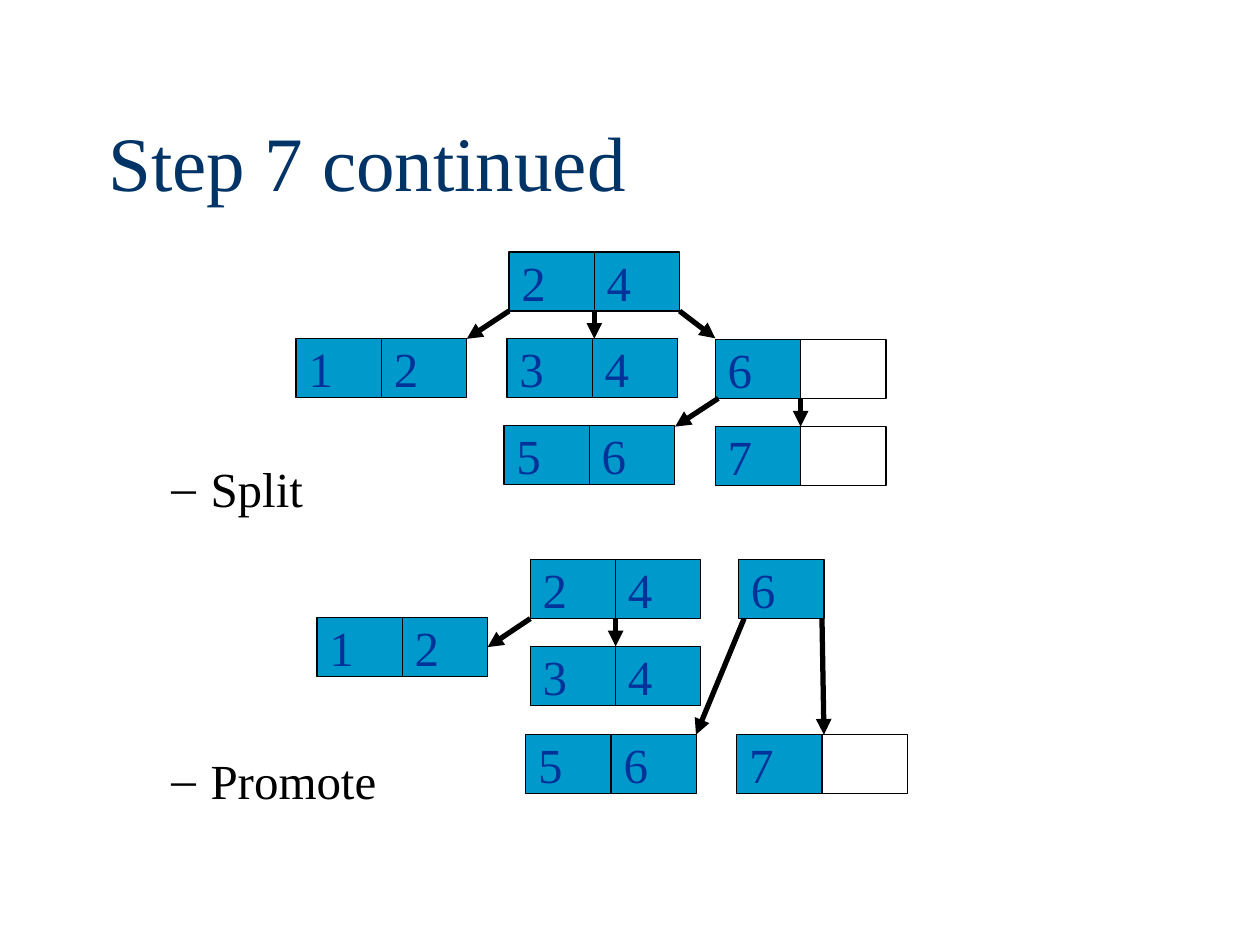
from lxml.etree import SubElement
from pptx import Presentation
from pptx.dml.color import RGBColor
from pptx.enum.shapes import MSO_CONNECTOR, MSO_SHAPE
from pptx.enum.text import MSO_ANCHOR, MSO_AUTO_SIZE, PP_ALIGN
from pptx.oxml.ns import qn
from pptx.util import Cm, Pt

COLORS = {
    "title": "003366",
    "digit": "003399",
    "full": "0099CC",
    "free": "FFFFFF",
    "black": "000000",
}
FONT = "Times New Roman"
CELL_W, CELL_H = 1.72, 1.19


def color(name):
    return RGBColor.from_string(COLORS[name])


def add_run(para, text, size, name):
    run = para.add_run()
    run.text = text
    run.font.name = FONT
    run.font.size = Pt(size)
    run.font.color.rgb = color(name)


prs = Presentation()
prs.slide_width, prs.slide_height = Cm(25.4), Cm(19.05)
slide = prs.slides.add_slide(prs.slide_layouts[1])
shapes = slide.shapes

# Title
title = shapes.title
title.left, title.top, title.width, title.height = Cm(1.93), Cm(1.65), Cm(21.6), Cm(3.18)
frame = title.text_frame
frame.vertical_anchor = MSO_ANCHOR.MIDDLE
frame.auto_size = MSO_AUTO_SIZE.NONE
frame.paragraphs[0].alignment = PP_ALIGN.LEFT
add_run(frame.paragraphs[0], "Step 7 continued", 44, "title")

# Step names, spaced to sit beside their trees
body = slide.placeholders[1]
body.left, body.top, body.width, body.height = Cm(1.93), Cm(9.12), Cm(21.6), Cm(8.18)
frame = body.text_frame
frame.auto_size = MSO_AUTO_SIZE.NONE
for i, (step, gap) in enumerate([("Split", 0), ("Promote", 133)]):
    para = frame.add_paragraph() if i else frame.paragraphs[0]
    para.level = 1
    para.space_before = Pt(gap)
    props = para._p.get_or_add_pPr()
    props.set("marL", str(Cm(2.06)))
    props.set("indent", str(-Cm(0.79)))
    SubElement(props, qn("a:buFont"), typeface=FONT)
    SubElement(props, qn("a:buChar"), char="–")
    add_run(para, step, 28, "black")

# Tree nodes: keys (None is a free cell), left, top
nodes = [
    ("24", 10.26, 5.08),
    ("12", 5.97, 6.82),
    ("34", 10.22, 6.82),
    (["6", None], 14.42, 6.84),
    ("56", 10.16, 8.58),
    (["7", None], 14.42, 8.6),
    ("24", 10.69, 11.28),
    ("12", 6.39, 12.45),
    ("34", 10.69, 13.03),
    ("6", 14.89, 11.28),
    ("56", 10.6, 14.81),
    (["7", None], 14.85, 14.81),
]
cells = []
for keys, left, top in nodes:
    row = []
    for i, key in enumerate(keys):
        cell = shapes.add_shape(MSO_SHAPE.RECTANGLE, Cm(left + i * CELL_W), Cm(top),
                                Cm(CELL_W), Cm(CELL_H))
        cell.shadow.inherit = False
        cell.fill.solid()
        cell.fill.fore_color.rgb = color("full" if key else "free")
        cell.line.color.rgb = color("black")
        cell.line.width = Pt(0.75)
        if key:
            frame = cell.text_frame
            frame.word_wrap = True
            frame.vertical_anchor = MSO_ANCHOR.MIDDLE
            frame.paragraphs[0].alignment = PP_ALIGN.LEFT
            add_run(frame.paragraphs[0], key, 28, "digit")
        row.append(cell)
    cells.append(row)

# Child links: start x, y, end x, y, and the cell whose right side is met
links = [
    (10.26, 6.27, 9.41, 6.83, None),
    (11.98, 6.27, 11.98, 6.83, None),
    (13.7, 6.27, 14.42, 6.82, None),
    (14.48, 8.03, 13.61, 8.6, None),
    (16.14, 8.03, 16.14, 8.6, None),
    (10.69, 12.47, 9.83, 13.04, cells[7][1]),
    (12.41, 12.47, 12.41, 13.03, None),
    (15, 12.47, 14.03, 14.81, None),
    (16.57, 12.47, 16.61, 14.81, None),
]
for x1, y1, x2, y2, goal in links:
    link = shapes.add_connector(MSO_CONNECTOR.STRAIGHT, Cm(x1), Cm(y1), Cm(x2), Cm(y2))
    if goal is not None:
        link.end_connect(goal, 3)
    link.line.color.rgb = color("black")
    link.line.width = Pt(3)
    SubElement(link.line._get_or_add_ln(), qn("a:tailEnd"), type="triangle")
    SubElement(link._element.spPr, qn("a:effectLst"))

prs.save("out.pptx")
